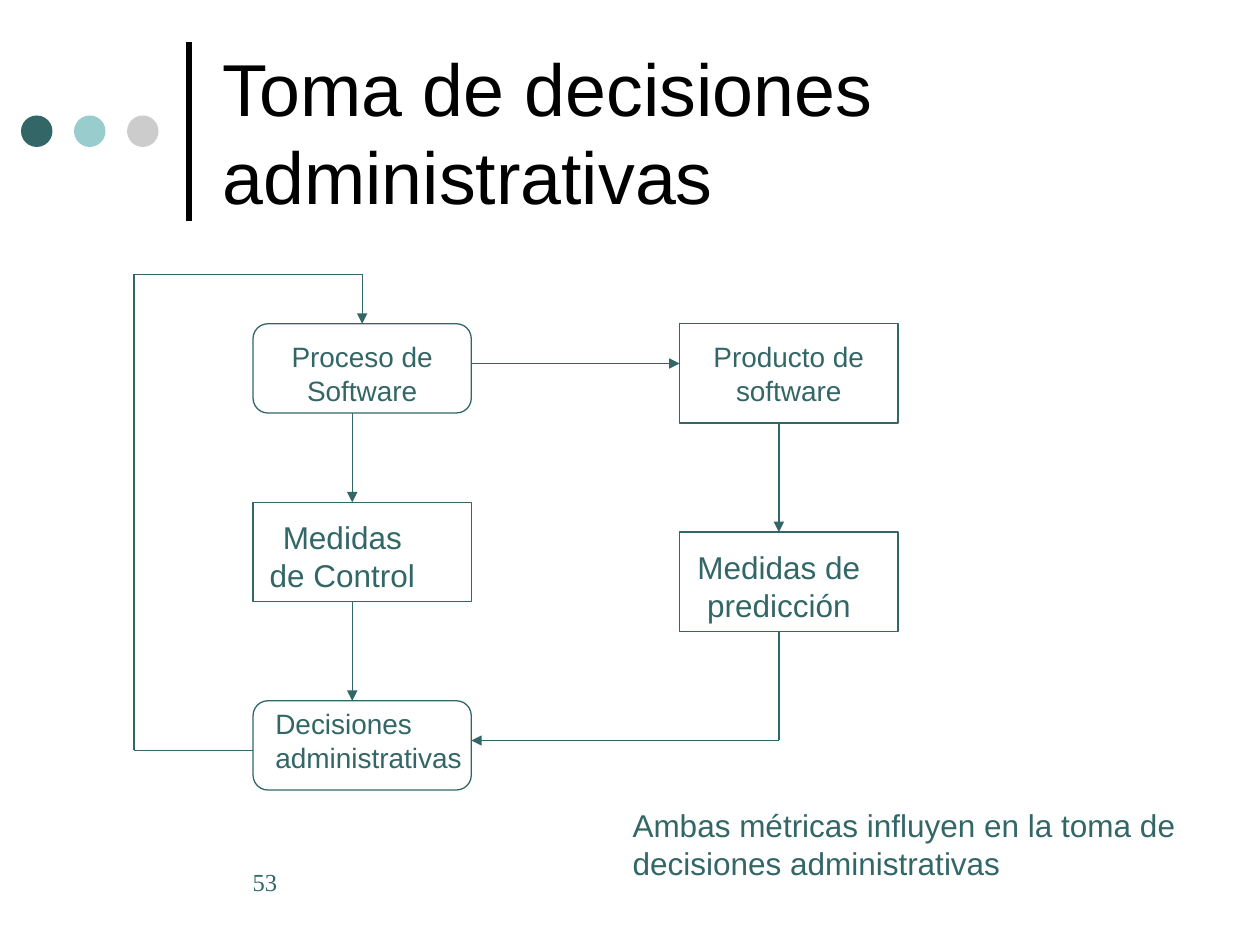
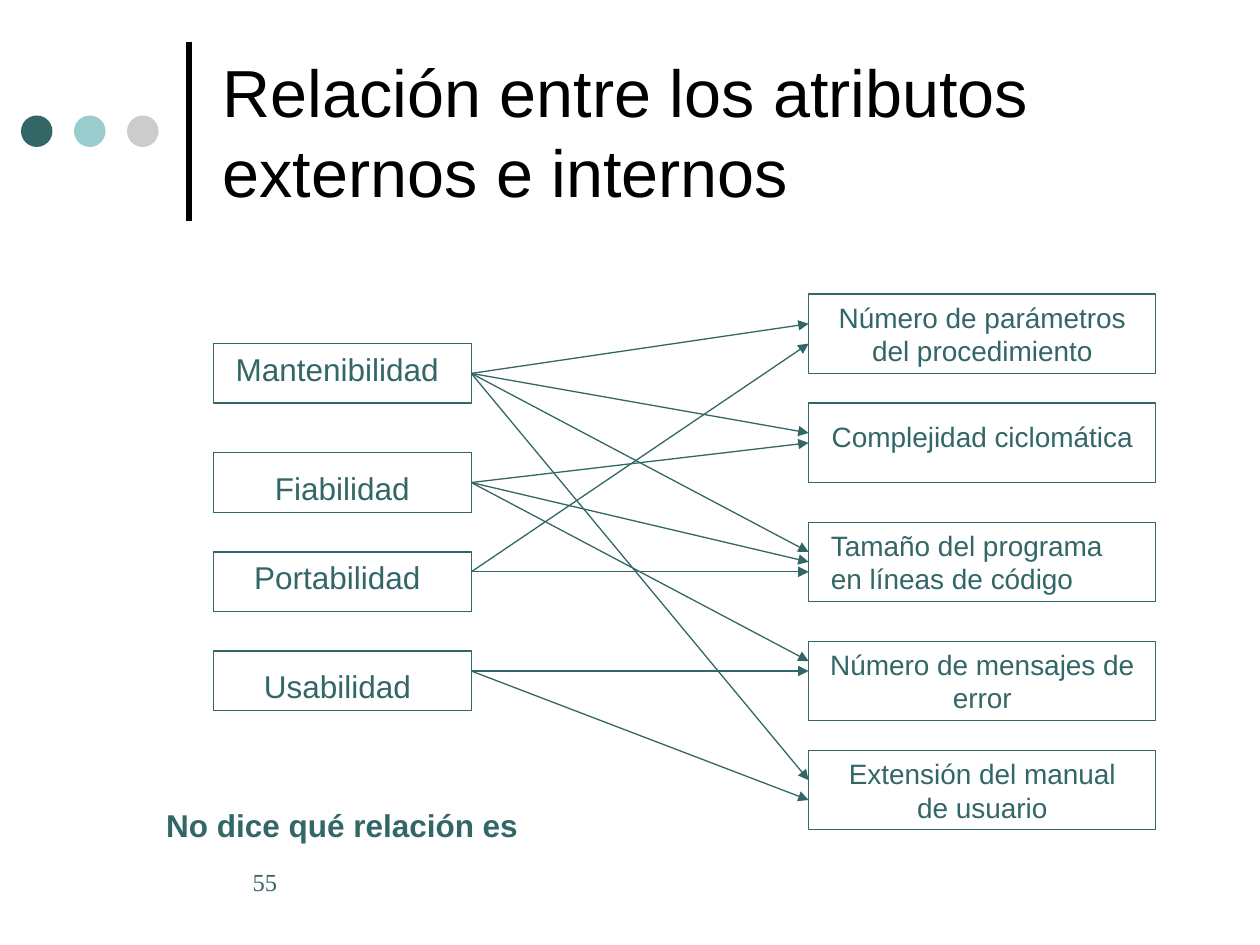
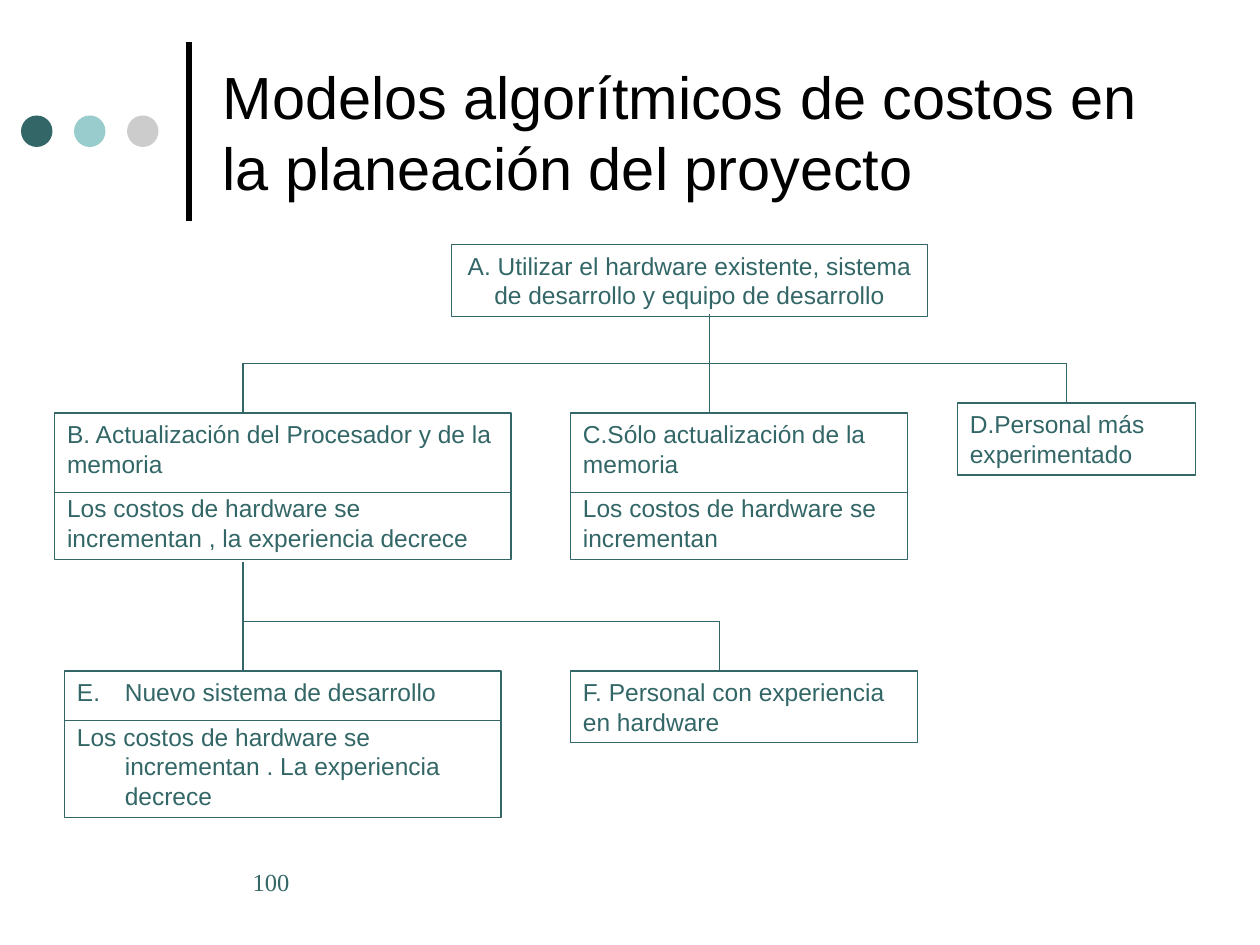
from lxml import etree
from pptx import Presentation
from pptx.dml.color import RGBColor
from pptx.enum.shapes import MSO_CONNECTOR, MSO_SHAPE
from pptx.enum.text import MSO_ANCHOR, MSO_AUTO_SIZE, PP_ALIGN
from pptx.oxml.ns import qn
from pptx.util import Cm, Inches, Pt

RECT, ROUND, OVAL = MSO_SHAPE.RECTANGLE, MSO_SHAPE.ROUNDED_RECTANGLE, MSO_SHAPE.OVAL
LINE = MSO_CONNECTOR.STRAIGHT
LEFT, MID = PP_ALIGN.LEFT, PP_ALIGN.CENTER
TOP, CENTER = MSO_ANCHOR.TOP, MSO_ANCHOR.MIDDLE
FIXED = MSO_AUTO_SIZE.NONE

BLACK = RGBColor(0x00, 0x00, 0x00)
TEAL = RGBColor(0x33, 0x66, 0x66)
AQUA = RGBColor(0x99, 0xCC, 0xCC)
GRAY = RGBColor(0xCC, 0xCC, 0xCC)
SANS, SERIF = "Arial", "Times New Roman"

TWELFTH = Inches(1) / 12
CELL = Cm(0.2)


def write(frame, texts, size, align=LEFT, font=SANS, color=TEAL, bold=None):
    frame.word_wrap = True
    frame.auto_size = FIXED
    for i, text in enumerate(texts):
        para = frame.add_paragraph() if i else frame.paragraphs[0]
        para.alignment = align
        para.space_before = Pt(round(size * 0.63, 1) if i else 0)
        run = para.add_run()
        run.text = text
        run.font.name, run.font.size = font, Pt(size)
        run.font.bold = bold
        run.font.color.rgb = color


def indent(para, left, first):
    props = para._p.get_or_add_pPr()
    props.set("marL", str(Inches(left)))
    props.set("indent", str(Inches(first)))
    return props


class Area:
    def __init__(self, slide, step, left=0, top=0):
        self.shapes = slide.shapes
        self.step, self.left, self.top = step, left, top
        self.nodes = []

    def spot(self, col, row):
        return int(self.left + col * self.step), int(self.top + row * self.step)

    def rect(self, col, row, wide, high):
        return *self.spot(col, row), int(wide * self.step), int(high * self.step)

    def shape(self, box, kind=RECT, fill=None):
        shape = self.shapes.add_shape(kind, *self.rect(*box))
        shape.shadow.inherit = False
        if fill is None:
            shape.fill.background()
            shape.line.color.rgb = TEAL
            shape.line.width = Pt(0.75)
        else:
            shape.fill.solid()
            shape.fill.fore_color.rgb = fill
            shape.line.fill.background()
        col, row, wide, high = box
        sides = [(col + wide / 2, row), (col, row + high / 2),
                 (col + wide / 2, row + high), (col + wide, row + high / 2)]
        self.nodes.append((shape, sides))
        return shape

    def label(self, box, text, size, align=LEFT, **style):
        item = self.shapes.add_textbox(*self.rect(*box))
        write(item.text_frame, [text], size, align, **style)
        return item

    def card(self, box, texts, size, align=LEFT):
        shape = self.shape(box)
        shape.text_frame.vertical_anchor = TOP
        write(shape.text_frame, texts, size, align)
        return shape

    def link(self, start, end, arrow=False, color=TEAL, width=0.75):
        link = self.shapes.add_connector(LINE, *self.spot(*start), *self.spot(*end))
        link.line.color.rgb = color
        link.line.width = Pt(width)
        props = link.element.spPr
        if arrow:
            etree.SubElement(props.find(qn("a:ln")), qn("a:tailEnd"), type="triangle")
        etree.SubElement(props, qn("a:effectLst"))
        for shape, sides in self.nodes:
            if start in sides:
                link.begin_connect(shape, sides.index(start))
            if end in sides:
                link.end_connect(shape, sides.index(end))
        return link


def grid(slide, col, row):
    return Area(slide, CELL, Inches(0.04) + col * CELL, Inches(0.05) + row * CELL)


def brand(slide, layout):
    area = Area(slide, TWELFTH)
    parts = [area.link((18, 21), (18, 4), color=BLACK, width=3)]
    for i, color in enumerate((TEAL, AQUA, GRAY)):
        parts.append(area.shape((2 + 5.05 * i, 11, 3, 3), OVAL, color))
    for i, part in enumerate(parts, 20):
        part.element.xpath(".//p:cNvPr")[0].set("id", str(i))
        layout.shapes.element.append(part.element)


def page(deck, layout, title, size, number):
    slide = deck.slides.add_slide(layout)
    area = Area(slide, TWELFTH)
    head = slide.shapes.title
    head.left, head.top, head.width, head.height = area.rect(20, 2.5, 92, 20)
    head.text_frame.vertical_anchor = CENTER
    write(head.text_frame, [title], size, color=BLACK)
    foot = area.label((20, 82, 17, 6), number, 14, font=SERIF)
    indent(foot.text_frame.paragraphs[0], 0.24, 0)
    return slide


def flow(area):
    nodes = [
        ((12, 5, 22, 9), ROUND, (2, 1, 18, 8), "Proceso de Software", 16, MID),
        ((12, 43, 22, 9), ROUND, (1, 0, 22, 8), "Decisiones administrativas", 16, LEFT),
        ((55, 5, 22, 10), RECT, (0, 1, 22, 8), "Producto de software", 16, MID),
        ((12, 23, 22, 10), RECT, (0, 1, 18, 9), "Medidas de Control", 18, MID),
        ((55, 26, 22, 10), RECT, (0, 1, 20, 9), "Medidas de predicción", 18, MID),
    ]
    for box, kind, (right, down, wide, high), text, size, align in nodes:
        area.shape(box, kind)
        area.label((box[0] + right, box[1] + down, wide, high), text, size, align)
    routes = [
        [(12, 48), (0, 48), (0, 0), (23, 0), (23, 5)],
        [(22, 14), (22, 23)],
        [(22, 33), (22, 43)],
        [(34, 9), (55, 9)],
        [(65, 15), (65, 26)],
        [(65, 36), (65, 47), (34, 47)],
    ]
    for route in routes:
        for start, end in zip(route, route[1:]):
            area.link(start, end, arrow=end == route[-1])
    area.label((49, 53, 61, 9),
               "Ambas métricas influyen en la toma de decisiones administrativas", 18)


def traits(area):
    outer = [
        (5, "Mantenibilidad", (1, 0, 24), LEFT),
        (16, "Fiabilidad", (1, 1, 24), MID),
        (26, "Portabilidad", (1, 0, 23), MID),
        (36, "Usabilidad", (0, 1, 25), MID),
    ]
    inner = [
        (0, "Número de parámetros del procedimiento", (1, 0, 33), MID),
        (11, "Complejidad ciclomática", (1, 1, 33), MID),
        (23, "Tamaño del programa en líneas de código", (1, 0, 33), LEFT),
        (35, "Número de mensajes de error", (0, 0, 35), MID),
        (46, "Extensión del manual de usuario", (1, 0, 33), MID),
    ]
    for col, wide, high, size, rows in ((0, 26, 6, 18, outer), (60, 35, 8, 16, inner)):
        for row, text, (right, down, span), align in rows:
            area.shape((col, row, wide, high))
            area.label((col + right, row + down, span, high - 1), text, size, align)
    links = {8: (3, 14, 26, 49), 19: (15, 27, 37), 28: (5, 28), 38: (38, 51)}
    for start, ends in links.items():
        for end in ends:
            area.link((26, start), (60, end), arrow=True)
    area.label((-6, 51, 48, 5), "No dice qué relación es", 18, bold=True)


def tree(area):
    low, tall = 7.25, 14.75
    cost = "Los costos de hardware se incrementan"
    area.card((40, 0, 48, low),
              ["A. Utilizar el hardware existente, sistema de desarrollo y equipo de desarrollo"],
              14, MID)
    area.card((0, 17, 46, tall), ["B. Actualización del Procesador y de la memoria",
                                  cost + " , la experiencia decrece"], 14)
    fresh = area.card((1, 43, 44, tall), ["Nuevo sistema de desarrollo",
                                          cost + " . La experiencia decrece"], 14)
    area.card((52, 17, 34, tall), ["C.Sólo actualización de la memoria", cost], 14)
    area.card((91, 16, 24, low), ["D.Personal más experimentado"], 14)
    area.card((52, 43, 35, low), ["F. Personal con experiencia en hardware"], 14)

    first, second = [indent(para, 0.38, -0.38) for para in fresh.text_frame.paragraphs]
    etree.SubElement(first, qn("a:buFont"), typeface=SANS)
    etree.SubElement(first, qn("a:buAutoNum"), type="alphaUcPeriod", startAt="5")
    etree.SubElement(second, qn("a:buNone"))

    for col, row, wide in ((0, 25, 46), (52, 25, 34), (1, 48, 44), (19, 12, 83), (19, 38, 48)):
        area.link((col, row), (col + wide, row))
    for col, row, end in ((66, 7, 17), (19, 12, 17), (102, 12, 16), (19, 32, 43), (67, 38, 43)):
        area.link((col, row), (col, end))


def main():
    deck = Presentation()
    deck.slide_width, deck.slide_height = Inches(10), Inches(7.5)
    layout = deck.slide_layouts[5]
    slide = page(deck, layout, "Toma de decisiones administrativas", 42, "53")
    brand(slide, layout)
    flow(grid(slide, 13, 27))
    slide = page(deck, layout, "Relación entre los atributos externos e internos", 38, "55")
    traits(grid(slide, 21, 29))
    slide = page(deck, layout,
                 "Modelos algorítmicos de costos en la planeación del proyecto", 34, "100")
    tree(grid(slide, 5, 24))
    deck.save("out.pptx")


if __name__ == "__main__":
    main()
